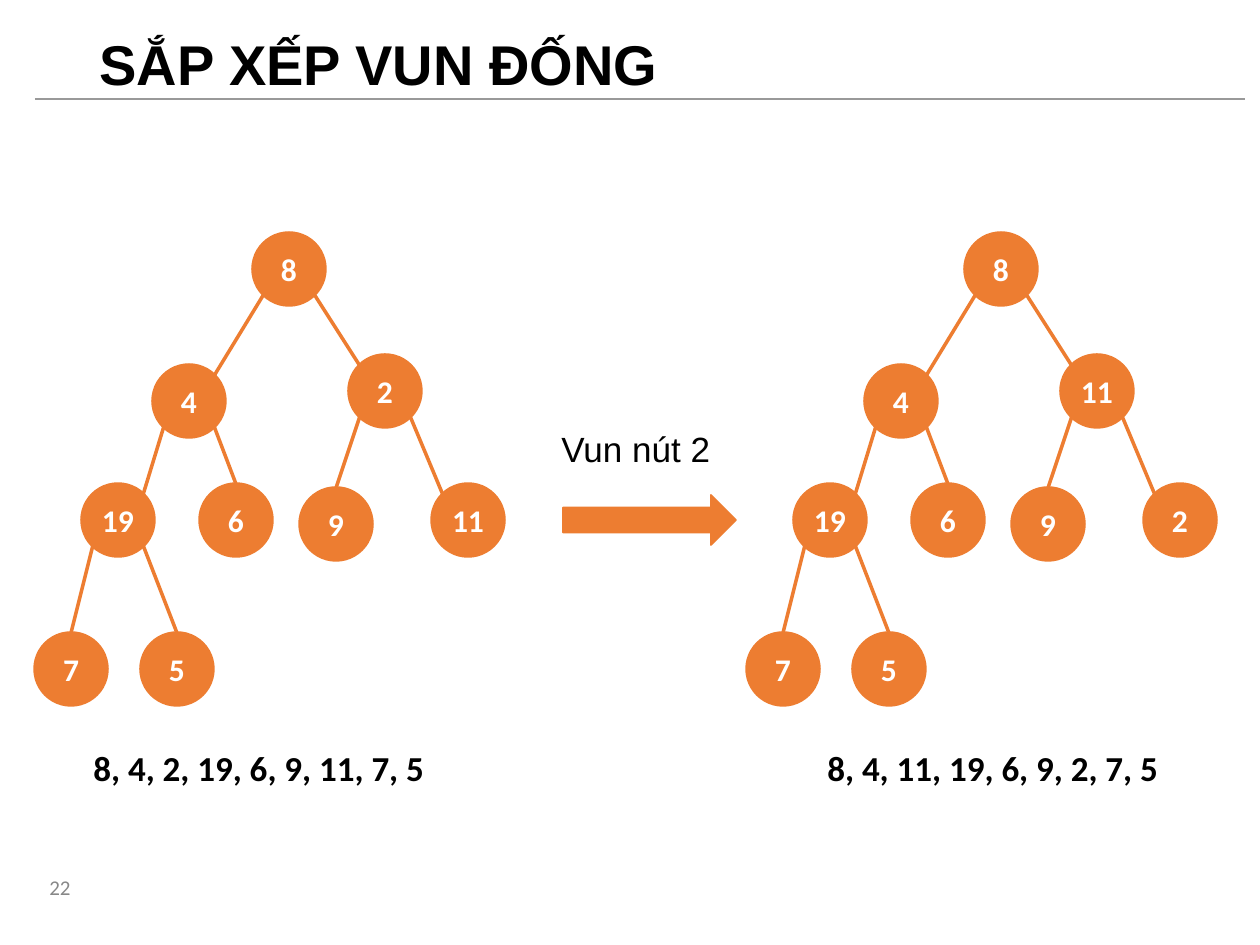
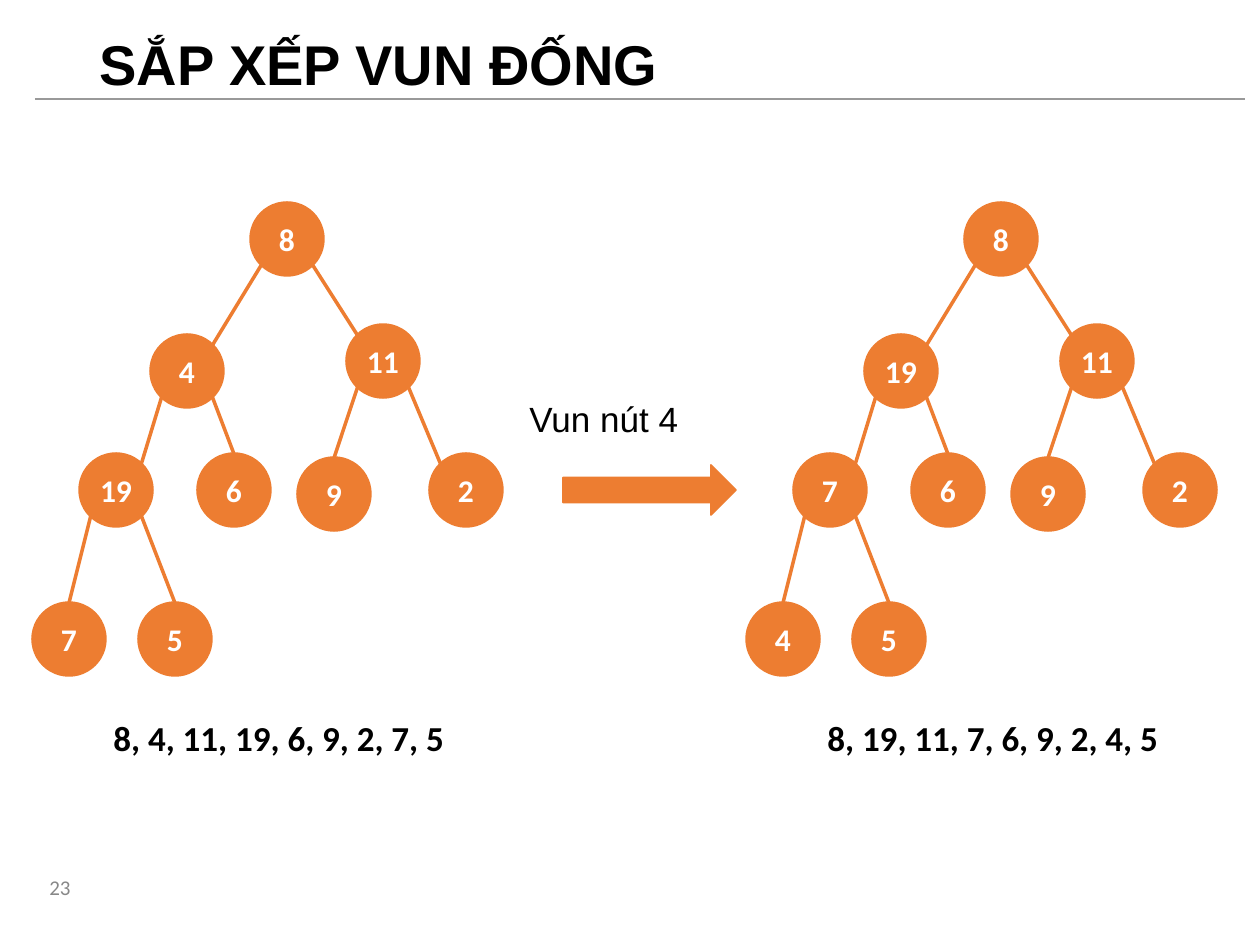
"""Build two slides on heap sort, each with a heap before and after one sift."""
from dataclasses import dataclass

from lxml.etree import SubElement
from pptx import Presentation
from pptx.dml.color import RGBColor
from pptx.enum.shapes import MSO_CONNECTOR as Connector, MSO_SHAPE as Shape
from pptx.enum.text import MSO_ANCHOR as Anchor, MSO_AUTO_SIZE as AutoSize, PP_ALIGN as Align
from pptx.oxml.ns import qn
from pptx.util import Emu, Pt

PX_PER_INCH = 126
NODE_SIZE = 72
RIM = round(NODE_SIZE * (1 - 0.5 ** 0.5) / 2)
TEXT_HEIGHT = 55
ARROW_DROP, LABEL_DROP, LIST_DROP = 262, 188, 507
RIGHT_ROOT_X, RIGHT_LIST_X = 965, 815

NODE_OFFSETS = [(0, 0), (-100, 132), (96, 122), (-171, 251), (-53, 251),
                (47, 255), (179, 251), (-218, 400), (-112, 400)]
ENTERED_AT_TOP = {4, 5, 7, 8}


@dataclass(frozen=True)
class Theme:
    accent: str = "ED7D31"
    ink: str = "000000"
    on_accent: str = "FFFFFF"
    number_ink: str = "888888"
    rule: str = "999999"
    heading_font: str = "Arial"
    body_font: str = "Calibri"
    title_size: int = 32
    text_size: int = 20
    node_size: int = 18
    number_size: int = 12


@dataclass(frozen=True)
class HeapStep:
    number: int
    sifted: int
    root_x: int
    root_y: int
    list_x: int
    label_x: int
    before: tuple
    after: tuple


THEME = Theme()
STEPS = [
    HeapStep(22, 2, 253, 233, 81, 549,
             (8, 4, 2, 19, 6, 9, 11, 7, 5), (8, 4, 11, 19, 6, 9, 2, 7, 5)),
    HeapStep(23, 4, 251, 203, 101, 517,
             (8, 4, 11, 19, 6, 9, 2, 7, 5), (8, 19, 11, 7, 6, 9, 2, 4, 5)),
]


def px(length):
    """Turn px into EMU."""
    return Emu(round(length * 914400 / PX_PER_INCH))


def write(frame, text, size, font, color, bold=False, align=Align.LEFT):
    """Put one styled run in the first paragraph and return the paragraph."""
    para = frame.paragraphs[0]
    para.alignment = align
    span = para.add_run()
    span.text = text
    span.font.size = Pt(size)
    span.font.name = font
    span.font.bold = bold
    span.font.color.rgb = RGBColor.from_string(color)
    return para


def add_text(page, x, y, width, height, anchor=Anchor.TOP):
    """Add a wrapping text box and return its frame."""
    frame = page.shapes.add_textbox(px(x), px(y), px(width), px(height)).text_frame
    frame.word_wrap = True
    frame.vertical_anchor = anchor
    return frame


def add_filled(page, kind, x, y, width, height, line_width):
    """Add a preset shape in the accent colour."""
    shape = page.shapes.add_shape(kind, px(x), px(y), px(width), px(height))
    shape.shadow.inherit = False
    shape.fill.solid()
    shape.fill.fore_color.rgb = RGBColor.from_string(THEME.accent)
    shape.line.color.rgb = RGBColor.from_string(THEME.accent)
    shape.line.width = Pt(line_width)
    return shape


def add_line(page, start, end, color, width):
    """Add a straight line without a shadow."""
    line = page.shapes.add_connector(Connector.STRAIGHT, *map(px, (*start, *end)))
    line.line.color.rgb = RGBColor.from_string(color)
    line.line.width = Pt(width)
    SubElement(line._element.spPr, qn("a:effectLst"))
    return line


def add_node(page, x, y, value):
    """Add one numbered heap node."""
    node = add_filled(page, Shape.FLOWCHART_CONNECTOR, x, y, NODE_SIZE, NODE_SIZE, 2)
    frame = node.text_frame
    frame.margin_left = frame.margin_right = frame.margin_top = frame.margin_bottom = 0
    frame.vertical_anchor = Anchor.MIDDLE
    write(frame, str(value), THEME.node_size, THEME.body_font, THEME.on_accent, True, Align.CENTER)
    return node


def add_edge(page, index, spots, nodes):
    """Join a node to its parent, from the parent's lower rim."""
    parent_x, parent_y = spots[(index - 1) // 2]
    child_x, child_y = spots[index]
    near, far = RIM, NODE_SIZE - RIM
    is_left = index % 2 == 1
    start = (parent_x + (near if is_left else far), parent_y + far)
    if index in ENTERED_AT_TOP:
        end = (child_x + NODE_SIZE // 2, child_y)
    else:
        end = (child_x + (far if is_left else near), child_y + near)
    edge = add_line(page, start, end, THEME.accent, 2)
    if index in ENTERED_AT_TOP:
        edge.end_connect(nodes[index], 0)


def add_heap(page, root_x, root_y, list_x, values):
    """Draw a heap as a tree with its array written below."""
    spots = [(root_x + dx, root_y + dy) for dx, dy in NODE_OFFSETS]
    nodes = [add_node(page, x, y, value) for (x, y), value in zip(spots, values)]
    for index in range(1, len(nodes)):
        add_edge(page, index, spots, nodes)
    frame = add_text(page, list_x, root_y + LIST_DROP, 420, TEXT_HEIGHT)
    frame.auto_size = AutoSize.SHAPE_TO_FIT_TEXT
    write(frame, ", ".join(map(str, values)), THEME.text_size, THEME.body_font, THEME.ink, True)


def add_frame(page, number):
    """Add the title, its rule and the slide number."""
    title = add_text(page, 87, 16, 1086, 102, Anchor.MIDDLE)
    para = write(title, "SẮP XẾP VUN ĐỐNG", THEME.title_size, THEME.heading_font, THEME.ink, True)
    para.line_spacing = 0.9
    footer = add_text(page, 20, 856, 63, 63, Anchor.MIDDLE)
    write(footer, str(number), THEME.number_size, THEME.body_font, THEME.number_ink,
          align=Align.RIGHT)
    add_line(page, (35, 99), (1245, 99), THEME.rule, 0.75)


def add_sift_arrow(page, step):
    """Add the arrow between the heaps and the label above it."""
    add_filled(page, Shape.RIGHT_ARROW, 563, step.root_y + ARROW_DROP, 173, 50, 1)
    frame = add_text(page, step.label_x, step.root_y + LABEL_DROP, 225, TEXT_HEIGHT)
    frame.auto_size = AutoSize.SHAPE_TO_FIT_TEXT
    write(frame, f"Vun nút {step.sifted}", THEME.text_size, THEME.heading_font, THEME.ink)


def main():
    """Build and save the deck."""
    deck = Presentation()
    deck.slide_width, deck.slide_height = px(1260), px(945)
    for step in STEPS:
        page = deck.slides.add_slide(deck.slide_layouts[6])
        add_frame(page, step.number)
        add_sift_arrow(page, step)
        add_heap(page, step.root_x, step.root_y, step.list_x, step.before)
        add_heap(page, RIGHT_ROOT_X, step.root_y, RIGHT_LIST_X, step.after)
    deck.save("out.pptx")


if __name__ == "__main__":
    main()
